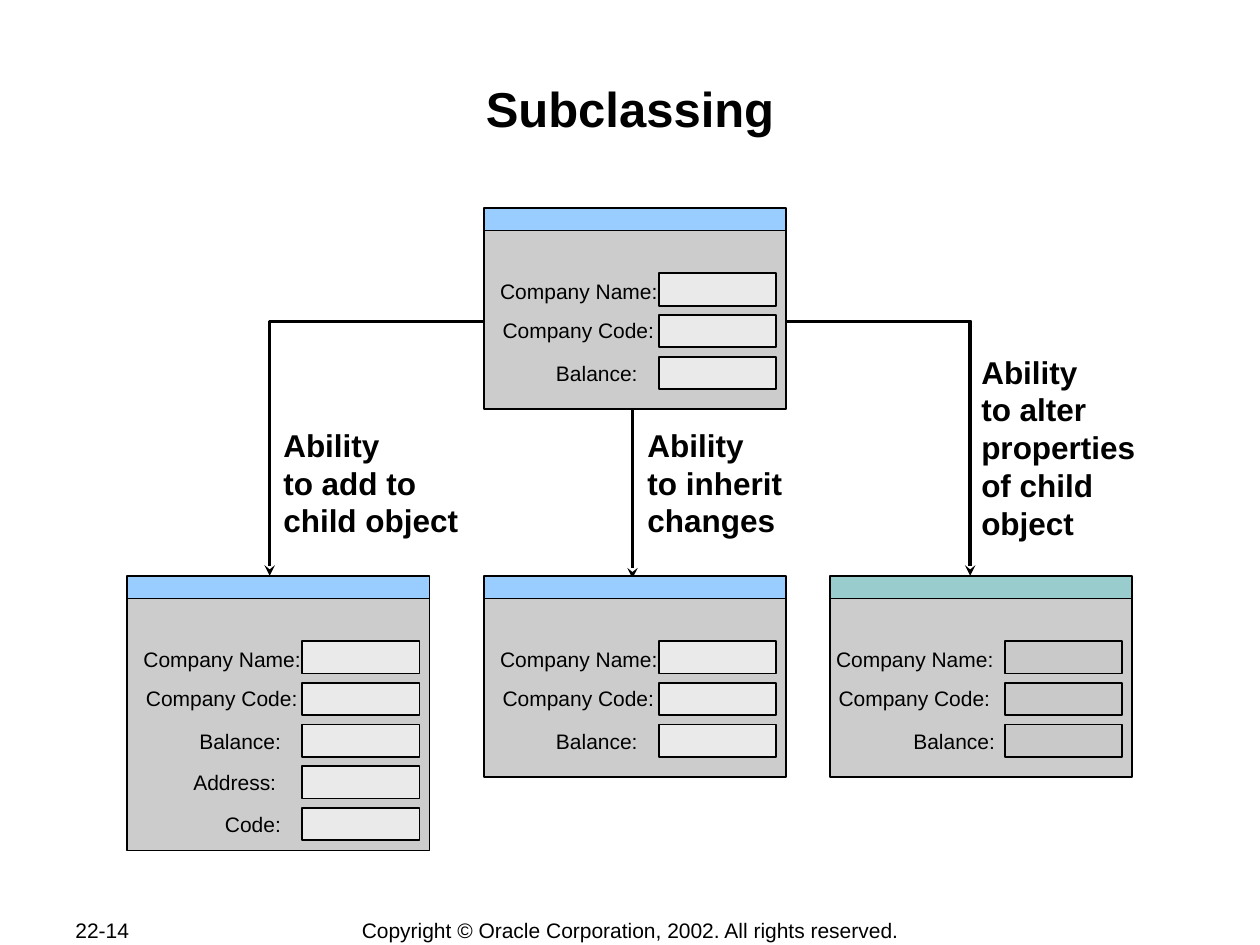
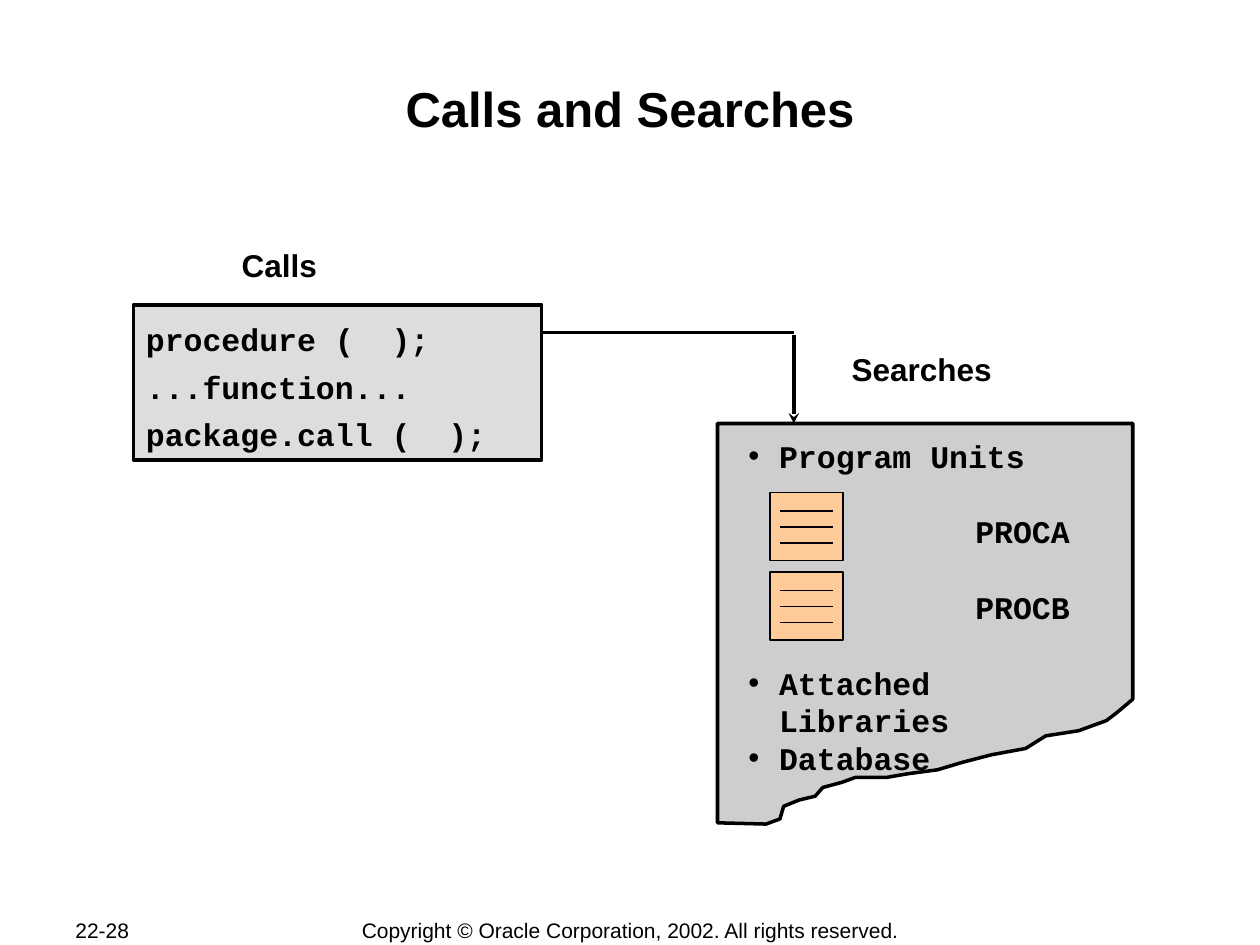
from dataclasses import dataclass

from lxml import etree
from pptx import Presentation
from pptx.dml.color import RGBColor
from pptx.enum.shapes import MSO_CONNECTOR, MSO_SHAPE
from pptx.enum.text import MSO_ANCHOR, MSO_AUTO_SIZE, PP_ALIGN
from pptx.oxml.ns import qn
from pptx.util import Pt

LEFT, CENTER, RIGHT = PP_ALIGN.LEFT, PP_ALIGN.CENTER, PP_ALIGN.RIGHT
TOP, MIDDLE = MSO_ANCHOR.TOP, MSO_ANCHOR.MIDDLE
RECTANGLE = MSO_SHAPE.RECTANGLE
STRAIGHT = MSO_CONNECTOR.STRAIGHT
TITLE_AND_CONTENT, TITLE_ONLY = 1, 5


@dataclass(frozen=True)
class Theme:
    sans: str = "Arial"
    mono: str = "Courier New"
    ink: str = "000000"
    window: str = "CCCCCC"
    title_bar: str = "99CCFF"
    altered_bar: str = "99CCCC"
    field: str = "EAEAEA"
    altered_field: str = "C9C9C9"
    code: str = "DDDDDD"
    torn_page: str = "CECECE"
    unit: str = "FFCC99"
    title_size: float = 28
    text_size: float = 18
    label_size: float = 12
    leading: float = 1.2
    thin: float = 1
    thick: float = 2


THEME = Theme()
COPYRIGHT = "Copyright © Oracle Corporation, 2002. All rights reserved."

# Label text, left and top inside the window, width, alignment
LABELS = [
    ("Company Name:", 2.2, 36.7, 123, LEFT),
    ("Company Code:", 3.6, 59, 123, LEFT),
    ("Balance:", -5, 83.5, 100, RIGHT),
    ("Address:", 30.7, 107.3, 65, LEFT),
    ("Code:", -5, 131, 100, RIGHT),
]
# Leftward shift of each label in the altered window
ALTERED_SHIFTS = (5.8, 5.8, -6.4)

TORN_OUTLINE = [
    (410, 242), (410, 470.2), (437.8, 470.9), (445.7, 468), (447.8, 460.8),
    (456.5, 457.2), (465.8, 455), (470.2, 450), (481, 447.1), (488.9, 444.2),
    (506.9, 444.2), (519.1, 442.1), (535.7, 439.9), (550.1, 435.6),
    (566.6, 431.3), (586.1, 427.7), (597.6, 420.5), (616.3, 417.6),
    (632.2, 411.8), (637.9, 407.5), (647.3, 399.6), (647.3, 242),
]


def write(paragraph, text, *, font=THEME.sans, size=THEME.text_size, bold=True,
          align=LEFT, spacing=1, before=0, indent=0, bullet=None):
    properties = paragraph._p.get_or_add_pPr()
    properties.set("marL", str(Pt(indent)))
    properties.set("indent", str(-Pt(indent) if bullet else 0))
    if bullet:
        etree.SubElement(properties, qn("a:buFont")).set("typeface", THEME.sans)
        etree.SubElement(properties, qn("a:buChar")).set("char", bullet)
    else:
        etree.SubElement(properties, qn("a:buNone"))
    paragraph.alignment = align
    paragraph.line_spacing = Pt(size * THEME.leading * spacing)
    paragraph.space_before = Pt(before)
    paragraph.text = text
    for run in paragraph.runs:
        run.font.name = font
        run.font.size = Pt(size)
        run.font.bold = bold
        run.font.color.rgb = RGBColor.from_string(THEME.ink)


def set_frame(frame, *, anchor=TOP, wrap=True, margins=(7.2, 3.6)):
    frame.auto_size = MSO_AUTO_SIZE.NONE
    frame.word_wrap = wrap
    frame.vertical_anchor = anchor
    frame.margin_left = frame.margin_right = Pt(margins[0])
    frame.margin_top = frame.margin_bottom = Pt(margins[1])


def place(shape, left, top, width, height):
    shape.left, shape.top = Pt(left), Pt(top)
    shape.width, shape.height = Pt(width), Pt(height)


class Deck:
    """Holds the theme, the presentation and the slide being drawn."""

    def __init__(self, theme):
        self.theme = theme
        self.presentation = Presentation()
        self.presentation.slide_width = Pt(720)
        self.presentation.slide_height = Pt(540)
        self.slide = None

    def start_slide(self, title, page, layout=TITLE_ONLY):
        layouts = self.presentation.slide_layouts
        self.slide = self.presentation.slides.add_slide(layouts[layout])
        shape = self.slide.shapes.title
        place(shape, 72, 41.8, 576, 69)
        set_frame(shape.text_frame, margins=(0.7, 2.8))
        write(shape.text_frame.paragraphs[0], title,
              size=self.theme.title_size, align=CENTER)
        small = {"size": self.theme.label_size, "bold": False,
                 "anchor": MIDDLE, "wrap": False}
        self.text(page, 36, 524, 76, 15, **small)
        self.text(COPYRIGHT, 198.7, 524, 323, 15, align=CENTER, **small)

    def text(self, text, left, top, width, height, *, anchor=TOP, wrap=True,
             **style):
        box = self.slide.shapes.add_textbox(
            Pt(left), Pt(top), Pt(width), Pt(height))
        set_frame(box.text_frame, anchor=anchor, wrap=wrap)
        write(box.text_frame.paragraphs[0], text, **style)

    def outline(self, shape, fill, width):
        shape.shadow.inherit = False
        if fill:
            shape.fill.solid()
            shape.fill.fore_color.rgb = RGBColor.from_string(fill)
        else:
            shape.fill.background()
        self.stroke(shape, width)

    def stroke(self, shape, width):
        shape.line.color.rgb = RGBColor.from_string(self.theme.ink)
        shape.line.width = Pt(width)

    def arrowhead(self, shape, end):
        line = shape.line._get_or_add_ln()
        etree.SubElement(line, qn(f"a:{end}")).set("type", "stealth")

    def rectangle(self, left, top, width, height, fill, line=THEME.thin):
        shape = self.slide.shapes.add_shape(
            RECTANGLE, Pt(left), Pt(top), Pt(width), Pt(height))
        self.outline(shape, fill, line)
        return shape

    def polygon(self, points, fill=None, close=True):
        start, *others = [(Pt(x), Pt(y)) for x, y in points]
        builder = self.slide.shapes.build_freeform(*start)
        builder.add_line_segments(others, close=close)
        shape = builder.convert_to_shape()
        self.outline(shape, fill, self.theme.thick)
        return shape

    def line(self, start, end, width=THEME.thick, arrow=False):
        connector = self.slide.shapes.add_connector(
            STRAIGHT, *(Pt(value) for value in (*start, *end)))
        self.stroke(connector, width)
        if arrow:
            self.arrowhead(connector, "tailEnd")
        etree.SubElement(connector.element.spPr, qn("a:effectLst"))

    def window(self, left, top, height=105, rows=3, altered=False):
        theme = self.theme
        self.rectangle(left, top + 10, 172.8, height, theme.window)
        bar = theme.altered_bar if altered else theme.title_bar
        self.rectangle(left, top, 172.8, 13, bar)
        field = theme.altered_field if altered else theme.field
        for row, (label, x, y, width, align) in enumerate(LABELS[:rows]):
            shift = ALTERED_SHIFTS[row] if altered else 0
            self.text(label, left + x - shift, top + y, width, 21.6,
                      size=theme.label_size, bold=False, align=align)
            self.rectangle(left + 100, top + 37.4 + row * 23.8, 67, 18.5, field)

    def program_unit(self, left, top):
        self.rectangle(left, top, 41.8, 38.9, self.theme.unit)
        for row in range(3):
            y = top + 10.6 + row * 9.1
            self.line((left + 6, y), (left + 36, y), width=self.theme.thin)


def draw_subclassing(deck):
    deck.start_slide("Subclassing", "22-14")
    parent_top, child_top, arm_y = 118.8, 329, 183.6
    for child_x, parent_x in ((554.4, 424.8), (154.1, 289.4)):
        elbow = deck.polygon(
            [(child_x, child_top), (child_x, arm_y), (parent_x, arm_y)],
            close=False)
        deck.arrowhead(elbow, "headEnd")
    deck.line((361.4, 221.8), (361.4, 330.5), arrow=True)
    deck.window(276.5, child_top)
    deck.window(276.5, parent_top)
    deck.window(474.3, child_top, altered=True)
    deck.window(72.7, child_top, height=147, rows=5)
    deck.text("Ability\nto inherit\nchanges", 362.9, 239.8, 96, 72)
    deck.text("Ability\nto add to\nchild object", 154.8, 239.8, 120, 72)
    deck.text("Ability\nto alter\nproperties\nof child\nobject",
              553.7, 198, 108, 115.2)


def draw_calls_and_searches(deck):
    deck.start_slide("Calls and Searches", "22-28", TITLE_AND_CONTENT)
    mono = deck.theme.mono

    code = deck.rectangle(76.3, 174.2, 233.3, 88.6, deck.theme.code,
                          deck.theme.thick)
    set_frame(code.text_frame)
    lines = ("procedure (  );", "...function...", "package.call (  );")
    for row, line in enumerate(lines):
        frame = code.text_frame
        paragraph = frame.add_paragraph() if row else frame.paragraphs[0]
        write(paragraph, line, font=mono, spacing=1.25)

    torn_page = deck.polygon(TORN_OUTLINE, deck.theme.torn_page)
    body = deck.slide.placeholders[1]
    torn_page.element.addnext(body.element)
    place(body, 420.5, 246, 219.6, 180)
    set_frame(body.text_frame)
    bulleted = {"indent": 17.5, "bullet": "•"}
    nested = {"indent": 129.6, "before": 21.6}
    items = [
        ("Program Units", bulleted),
        ("PROCA", nested),
        ("PROCB", nested),
        ("Attached Libraries", {**bulleted, "before": 21.6}),
        ("Database", bulleted),
    ]
    for row, (item, style) in enumerate(items):
        frame = body.text_frame
        paragraph = frame.add_paragraph() if row else frame.paragraphs[0]
        write(paragraph, item, font=mono, **style)

    deck.line((310.3, 190.1), (453.6, 190.1))
    deck.line((453.6, 191.5), (453.6, 242), arrow=True)
    for top in (281.5, 326.9):
        deck.program_unit(440, top)
    deck.text("Calls", 131, 136.8, 62, 28.8)
    deck.text("Searches", 479.5, 196.6, 98, 28.8)


def main():
    deck = Deck(THEME)
    draw_subclassing(deck)
    draw_calls_and_searches(deck)
    deck.presentation.save("out.pptx")


if __name__ == "__main__":
    main()
